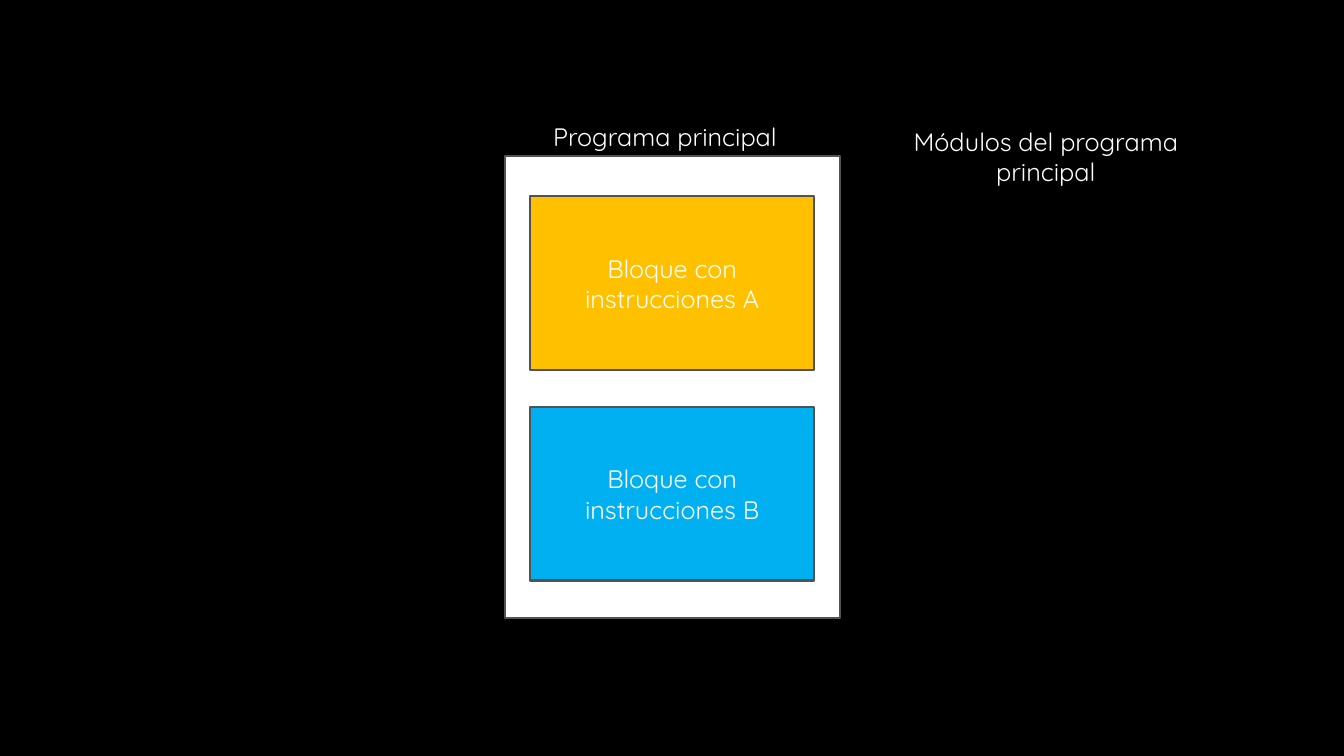
from dataclasses import dataclass

from pptx import Presentation
from pptx.dml.color import RGBColor
from pptx.enum.shapes import MSO_SHAPE
from pptx.enum.text import MSO_ANCHOR, PP_ALIGN
from pptx.slide import Slide
from pptx.text.text import TextFrame
from pptx.util import Cm, Pt

BLACK = RGBColor(0x00, 0x00, 0x00)
WHITE = RGBColor(0xFF, 0xFF, 0xFF)
GRAY = RGBColor(0x52, 0x52, 0x52)
AMBER = RGBColor(0xFF, 0xC0, 0x00)
BLUE = RGBColor(0x00, 0xB0, 0xF0)

FONT = "Quicksand"
BLOCK_TOP = 4.95
BLOCK_PITCH = 5.31


@dataclass
class Box:
    left: float
    top: float
    width: float
    height: float
    fill: RGBColor
    text: str = ""


@dataclass
class Label:
    left: float
    top: float
    width: float
    height: float
    lines: list[str]
    align: PP_ALIGN


def write_lines(tf: TextFrame, lines: list[str], align: PP_ALIGN) -> None:
    tf.text = "\n".join(lines)
    for p in tf.paragraphs:
        p.alignment = align
        p.font.name = FONT
        p.font.size = Pt(18)
        p.font.color.rgb = WHITE


def draw_box(s: Slide, box: Box) -> None:
    sp = s.shapes.add_shape(
        MSO_SHAPE.RECTANGLE, Cm(box.left), Cm(box.top), Cm(box.width), Cm(box.height)
    )
    sp.shadow.inherit = False
    sp.fill.solid()
    sp.fill.fore_color.rgb = box.fill
    sp.line.color.rgb = GRAY
    sp.line.width = Pt(1.5)
    if box.text:
        tf = sp.text_frame
        tf.word_wrap = True
        tf.vertical_anchor = MSO_ANCHOR.MIDDLE
        write_lines(tf, [box.text], PP_ALIGN.CENTER)


def draw_label(s: Slide, label: Label) -> None:
    sp = s.shapes.add_textbox(
        Cm(label.left), Cm(label.top), Cm(label.width), Cm(label.height)
    )
    tf = sp.text_frame
    tf.word_wrap = False
    write_lines(tf, label.lines, label.align)


def main() -> None:
    prs = Presentation()
    prs.slide_width, prs.slide_height = Cm(33.87), Cm(19.05)
    s = prs.slides.add_slide(prs.slide_layouts[6])
    s.background.fill.solid()
    s.background.fill.fore_color.rgb = BLACK

    draw_box(s, Box(12.73, 3.94, 8.43, 11.63, WHITE))
    for i, (letter, color) in enumerate([("A", AMBER), ("B", BLUE)]):
        top = BLOCK_TOP + i * BLOCK_PITCH
        text = f"Bloque con instrucciones {letter}"
        draw_box(s, Box(13.36, top, 7.16, 4.37, color, text))

    labels = [
        Label(13.69, 2.92, 6.48, 1.02, ["Programa principal"], PP_ALIGN.LEFT),
        Label(22.76, 3.05, 7.19, 1.8,
              ["Módulos del programa", "principal"], PP_ALIGN.CENTER),
    ]
    for label in labels:
        draw_label(s, label)

    prs.save("out.pptx")


if __name__ == "__main__":
    main()
